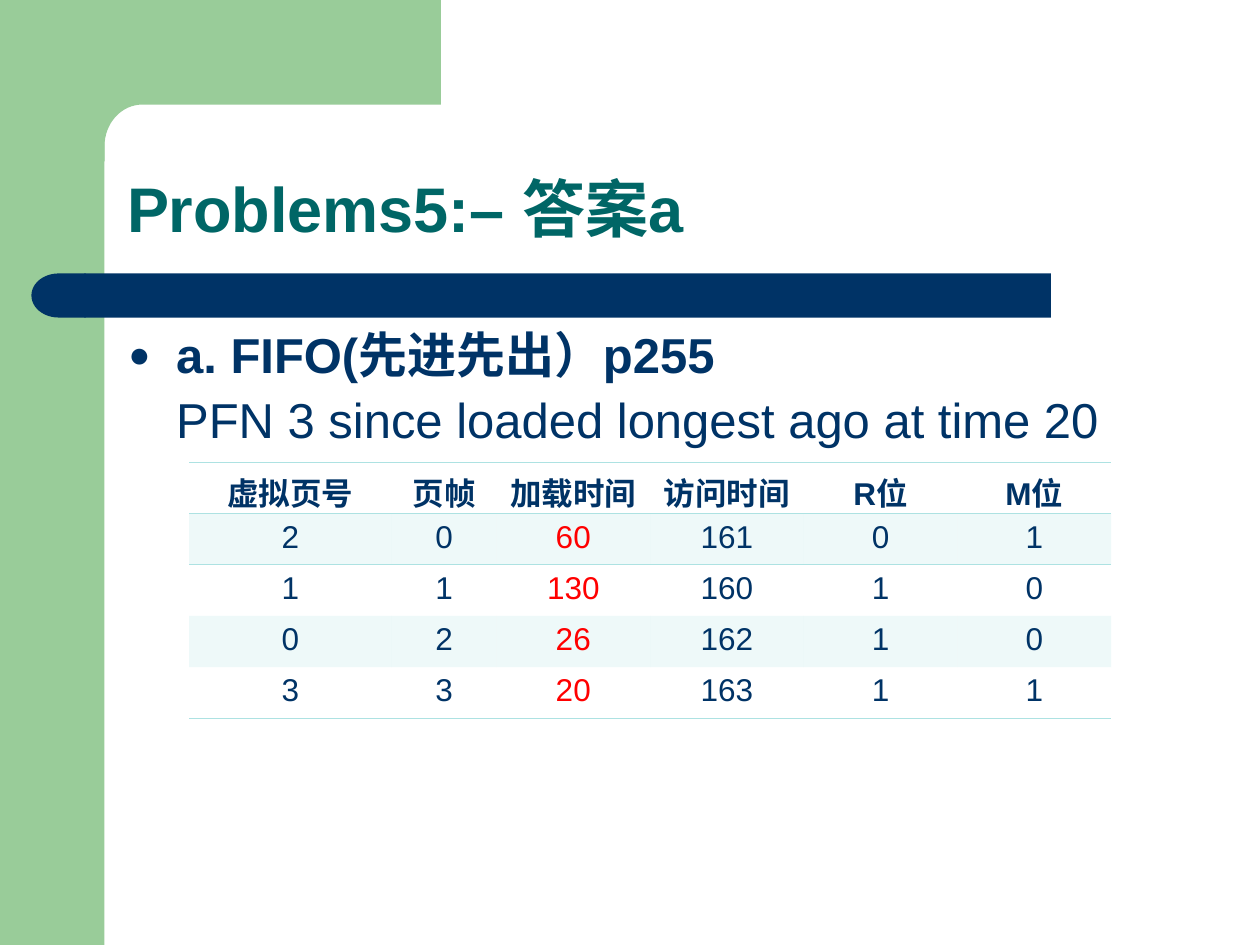
from dataclasses import dataclass
from math import cos, pi, sin

from lxml.etree import SubElement
from pptx import Presentation
from pptx.dml.color import RGBColor
from pptx.enum.shapes import MSO_SHAPE as Shape
from pptx.enum.text import MSO_ANCHOR as Anchor, PP_ALIGN as Align
from pptx.oxml import parse_xml
from pptx.oxml.ns import nsdecls, qn
from pptx.util import Inches, Pt

COLORS = {
    "green": "99CC99",
    "navy": "003366",
    "teal": "006666",
    "aqua": "ADE2E2",
    "red": "FF0000",
}
NO_STYLE = "{2D5ABB26-0587-4C30-8999-92F81FD0307C}"


@dataclass
class Box:
    left: float
    top: float
    width: float
    height: float

    def emu(self) -> list:
        return [Inches(v) for v in (self.left, self.top, self.width, self.height)]


@dataclass
class Panel:
    kind: Shape
    box: Box
    color: str
    flip: bool = False


@dataclass
class Line:
    text: str
    size: float
    color: str
    bold: bool = False
    bullet: bool = False
    indent: float = 0
    before: float = 0


PANELS = [
    Panel(Shape.ROUNDED_RECTANGLE, Box(0.67, 2.17, 7.67, 0.35), "navy"),
    Panel(Shape.FLOWCHART_DELAY, Box(0.25, 2.17, 0.43, 0.35), "navy", True),
]
TITLE = [Line("Problems5:– 答案a", 36, "teal", bold=True)]
BODY = [
    Line("a. FIFO(先进先出）p255", 28, "navy", bold=True, bullet=True, indent=0.38),
    Line("PFN 3 since loaded longest ago at time 20", 28, "navy", indent=0.38, before=7),
]
ROWS = [
    ["虚拟页号", "页帧", "加载时间", "访问时间", "R位", "M位"],
    ["2", "0", "60", "161", "0", "1"],
    ["1", "1", "130", "160", "1", "0"],
    ["0", "2", "26", "162", "1", "0"],
    ["3", "3", "20", "163", "1", "1"],
]
COL_WIDTHS = [1.61, 0.83, 1.22, 1.22, 1.22, 1.22]
LOAD_TIME = 2


def rgb(name: str) -> RGBColor:
    return RGBColor.from_string(COLORS[name])


def paint(s, color: str) -> None:
    s.shadow.inherit = False
    s.fill.solid()
    s.fill.fore_color.rgb = rgb(color)
    s.line.fill.background()


def add_panel(shapes, panel: Panel) -> None:
    s = shapes.add_shape(panel.kind, *panel.box.emu())
    paint(s, panel.color)
    if panel.kind == Shape.ROUNDED_RECTANGLE:
        s.adjustments[0] = 0
    if panel.flip:
        s._element.spPr.xfrm.set("flipH", "1")


def add_corner(shapes) -> None:
    steps = 16
    angles = [pi / 2 * i / steps for i in range(steps + 1)]
    arc = [(1.13 - 0.3 * sin(a), 1.16 - 0.33 * cos(a)) for a in angles]
    points = [(3.5, 0), (3.5, 0.83), *arc, (0.83, 1.28), (0.5, 1.28), (0.5, 0)]
    points = [(Inches(x), Inches(y)) for x, y in points]
    builder = shapes.build_freeform(*points[0])
    builder.add_line_segments(points[1:], close=True)
    paint(builder.convert_to_shape(), "green")


def add_run(p, text: str, size: float, color: str, bold: bool) -> None:
    r = p.add_run()
    r.text = text
    r.font.name = "Arial"
    r.font.size = Pt(size)
    r.font.bold = bold
    r.font.color.rgb = rgb(color)


def add_bullet(p, color: str) -> None:
    pPr = p._p.get_or_add_pPr()
    clr = SubElement(pPr, qn("a:buClr"))
    SubElement(clr, qn("a:srgbClr"), val=COLORS[color])
    SubElement(pPr, qn("a:buSzPct"), val="75000")
    SubElement(pPr, qn("a:buFont"), typeface="Arial")
    SubElement(pPr, qn("a:buChar"), char="●")


def add_text(shapes, box: Box, lines: list[Line], anchor: Anchor) -> None:
    tf = shapes.add_textbox(*box.emu()).text_frame
    tf.word_wrap = True
    tf.vertical_anchor = anchor
    for i, line in enumerate(lines):
        p = tf.add_paragraph() if i else tf.paragraphs[0]
        p.line_spacing = 0.9
        p.space_before = Pt(line.before)
        pPr = p._p.get_or_add_pPr()
        pPr.set("marL", str(Inches(line.indent)))
        pPr.set("indent", str(-Inches(line.indent) if line.bullet else 0))
        if line.bullet:
            add_bullet(p, line.color)
        add_run(p, line.text, line.size, line.color, line.bold)


def border(cell, sides: list[str]) -> None:
    for i, side in enumerate(sides):
        line = parse_xml(
            f'<a:{side} {nsdecls("a")} w="{Pt(0.45)}"><a:solidFill>'
            f'<a:srgbClr val="{COLORS["aqua"]}"/></a:solidFill></a:{side}>'
        )
        cell._tc.get_or_add_tcPr().insert(i, line)


def fill_cell(cell, banded: bool) -> None:
    if not banded:
        cell.fill.background()
        return
    cell.fill.solid()
    cell.fill.fore_color.rgb = rgb("aqua")
    clr = cell._tc.tcPr.find(".//" + qn("a:srgbClr"))
    SubElement(clr, qn("a:alpha"), val="20000")


def add_page_table(shapes, box: Box) -> None:
    frame = shapes.add_table(len(ROWS), len(COL_WIDTHS), *box.emu())
    table = frame.table
    table.first_row = table.horz_banding = False
    table._tbl.tblPr.find(qn("a:tableStyleId")).text = NO_STYLE
    for col, width in zip(table.columns, COL_WIDTHS):
        col.width = Inches(width)
    sides = {0: ["lnT", "lnB"], 1: ["lnT"], len(ROWS) - 1: ["lnB"]}
    for i, row in enumerate(ROWS):
        for j, text in enumerate(row):
            cell = table.cell(i, j)
            fill_cell(cell, i % 2 == 1)
            border(cell, sides.get(i, []))
            p = cell.text_frame.paragraphs[0]
            p.alignment = Align.CENTER
            color = "red" if i and j == LOAD_TIME else "navy"
            add_run(p, text, 18, color, i == 0)


def main() -> None:
    prs = Presentation()
    prs.slide_width, prs.slide_height = Inches(10), Inches(7.5)
    shapes = prs.slides.add_slide(prs.slide_layouts[6]).shapes
    add_panel(shapes, Panel(Shape.RECTANGLE, Box(0, 0, 0.83, 7.5), "green"))
    add_corner(shapes)
    for panel in PANELS:
        add_panel(shapes, panel)
    add_text(shapes, Box(0.91, 0.91, 8.51, 1.09), TITLE, Anchor.BOTTOM)
    add_text(shapes, Box(0.92, 2.58, 8.41, 4.07), BODY, Anchor.TOP)
    add_page_table(shapes, Box(1.5, 3.67, 7.33, 2.03))
    prs.save("out.pptx")


if __name__ == "__main__":
    main()
